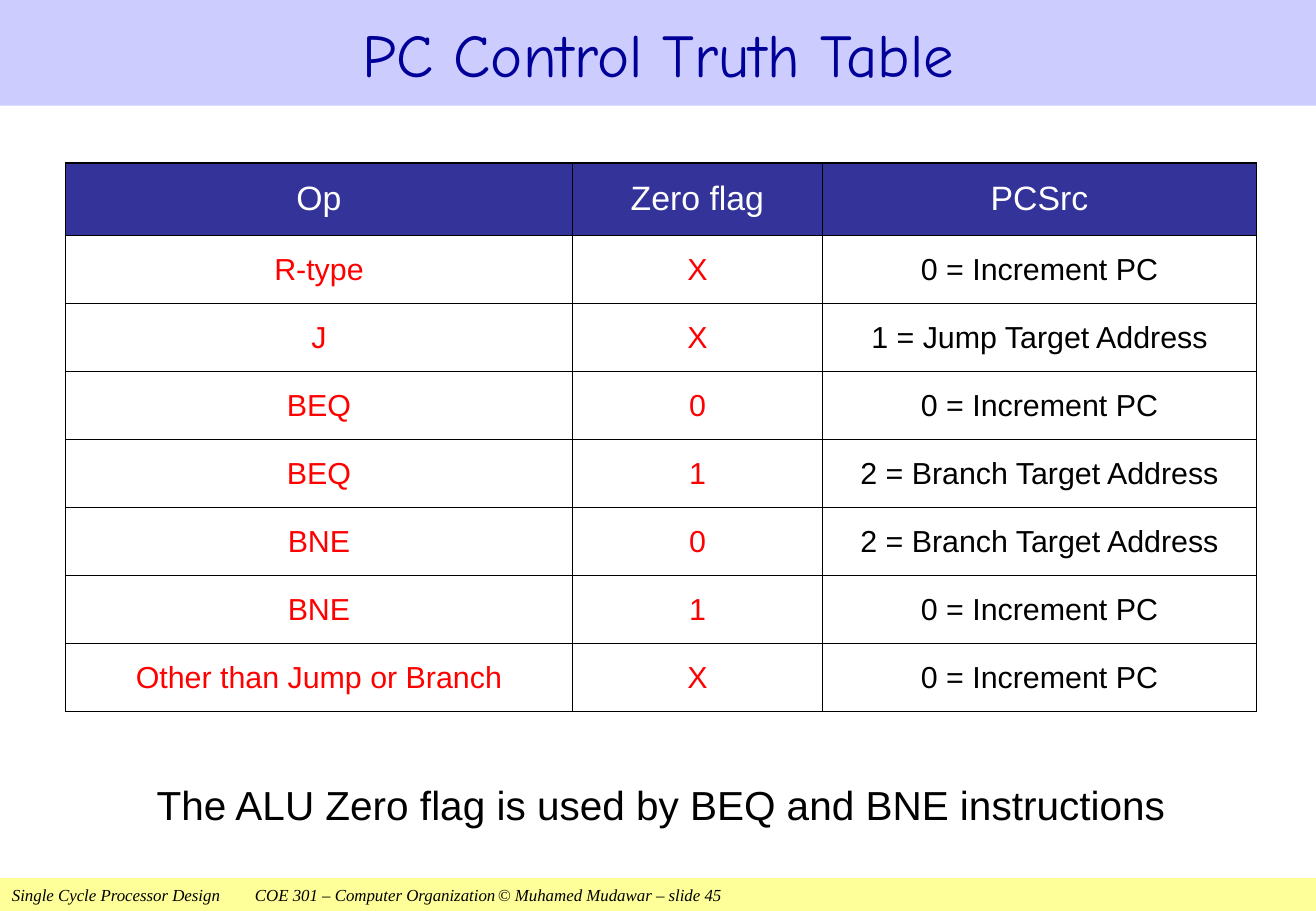
"""Build the PC Control Truth Table slide."""
from dataclasses import dataclass

from lxml import etree
from pptx import Presentation
from pptx import util as u
from pptx.dml.color import RGBColor
from pptx.enum import shapes, text
from pptx.oxml import ns


@dataclass(frozen=True)
class Theme:
    title_bg: str = "CCCCFF"
    title: str = "000099"
    header_bg: str = "333399"
    header: str = "FFFFFF"
    inputs: str = "FF0000"
    ink: str = "000000"
    footer_bg: str = "FFFF99"
    title_font: str = "Comic Neue"
    body_font: str = "Arial"
    footer_font: str = "Times New Roman"
    title_size: int = 36
    note_size: int = 24
    header_size: int = 20
    cell_size: int = 18
    footer_size: int = 10


def write(tf, content, font, size, color, align=text.PP_ALIGN.CENTER):
    tf.word_wrap = True
    tf.vertical_anchor = text.MSO_ANCHOR.MIDDLE
    p = tf.paragraphs[0]
    p.text = content
    p.alignment = align
    for r in p.runs:
        r.font.name = font
        r.font.size = u.Pt(size)
        r.font.color.rgb = RGBColor.from_string(color)
    return p


def add_borders(cell, color):
    tc_pr = cell._tc.get_or_add_tcPr()
    for side in ("lnL", "lnR", "lnT", "lnB"):
        ln = etree.SubElement(tc_pr, ns.qn(f"a:{side}"), w=str(u.Pt(1)))
        fill = etree.SubElement(ln, ns.qn("a:solidFill"))
        etree.SubElement(fill, ns.qn("a:srgbClr"), val=color)


theme = Theme()
prs = Presentation()
prs.slide_width, prs.slide_height = u.Inches(10.83), u.Inches(7.5)
s = prs.slides.add_slide(prs.slide_layouts[5])

title = s.shapes.title
title.left, title.top = u.Inches(0), u.Inches(0)
title.width, title.height = prs.slide_width, u.Inches(0.87)
title.fill.solid()
title.fill.fore_color.rgb = RGBColor.from_string(theme.title_bg)
title.text_frame.auto_size = text.MSO_AUTO_SIZE.NONE
write(title.text_frame, "PC Control Truth Table",
      theme.title_font, theme.title_size, theme.title)

rows = [
    ("Op", "Zero flag", "PCSrc"),
    ("R-type", "X", "0 = Increment PC"),
    ("J", "X", "1 = Jump Target Address"),
    ("BEQ", "0", "0 = Increment PC"),
    ("BEQ", "1", "2 = Branch Target Address"),
    ("BNE", "0", "2 = Branch Target Address"),
    ("BNE", "1", "0 = Increment PC"),
    ("Other than Jump or Branch", "X", "0 = Increment PC"),
]
table = s.shapes.add_table(len(rows), 3, u.Inches(0.54), u.Inches(1.34),
                           u.Inches(9.8), u.Inches(4.51)).table
table.first_row = table.horz_banding = False
for column, width in zip(table.columns, (4.17, 2.06, 3.57)):
    column.width = u.Inches(width)
for i, row in enumerate(rows):
    is_header = i == 0
    table.rows[i].height = u.Inches(0.6 if is_header else 0.56)
    for j, value in enumerate(row):
        cell = table.cell(i, j)
        cell.margin_left = cell.margin_right = u.Inches(0.03)
        cell.margin_top = cell.margin_bottom = u.Inches(0.02)
        cell.vertical_anchor = text.MSO_ANCHOR.MIDDLE
        add_borders(cell, theme.ink)
        if is_header:
            cell.fill.solid()
            cell.fill.fore_color.rgb = RGBColor.from_string(theme.header_bg)
            size, color = theme.header_size, theme.header
        else:
            cell.fill.background()
            size, color = theme.cell_size, theme.inputs if j < 2 else theme.ink
        write(cell.text_frame, value, theme.body_font, size, color)

note = s.shapes.add_textbox(u.Inches(0.54), u.Inches(6.25), u.Inches(9.8), u.Inches(0.7))
p = write(note.text_frame, "The ALU Zero flag is used by BEQ and BNE instructions",
          theme.body_font, theme.note_size, theme.ink)
p.line_spacing = 1.1

footer = s.shapes.add_shape(shapes.MSO_SHAPE.RECTANGLE, u.Inches(0), u.Inches(7.23),
                            prs.slide_width, u.Inches(0.27))
footer.shadow.inherit = False
footer.fill.solid()
footer.fill.fore_color.rgb = RGBColor.from_string(theme.footer_bg)
footer.line.fill.background()
p = write(footer.text_frame,
          "Single Cycle Processor Design\tCOE 301 – Computer Organization"
          "\t© Muhamed Mudawar – slide 45",
          theme.footer_font, theme.footer_size, theme.ink, text.PP_ALIGN.LEFT)
p.runs[0].font.italic = True
tabs = etree.SubElement(p._p.get_or_add_pPr(), ns.qn("a:tabLst"))
for stop in (2, 4):
    etree.SubElement(tabs, ns.qn("a:tab"), pos=str(u.Inches(stop)), algn="l")

prs.save("out.pptx")
